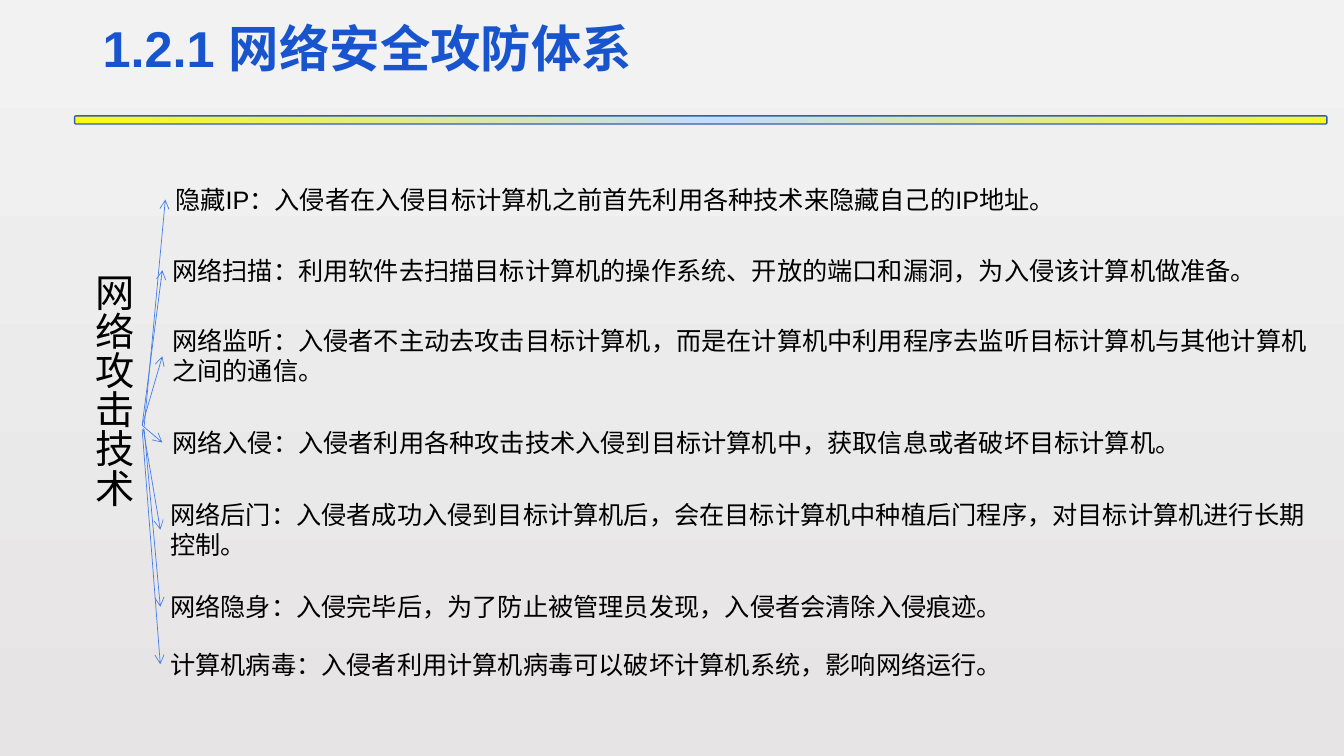
from lxml import etree
from pptx import Presentation
from pptx import util as u
from pptx.dml.color import RGBColor
from pptx.enum import shapes, text
from pptx.oxml import ns

COLORS = {
    "title": "1754CD",
    "body": "000000",
    "arrow": "477DEA",
    "bar_line": "355CAD",
}
BACKGROUND_STOPS = [(0, "F2F2F2"), (100, "E6E4E4")]
BAR_STOPS = [(0, "FBFB11"), (51, "C6DCFF"), (100, "F7F923")]

TECHNIQUES = [
    ("隐藏IP：入侵者在入侵目标计算机之前首先利用各种技术来隐藏自己的IP地址。",
     (1.64, 1.78, 10.01, 0.4), (1.43, 4.23)),
    ("网络扫描：利用软件去扫描目标计算机的操作系统、开放的端口和漏洞，为入侵该计算机做准备。",
     (1.61, 2.48, 11, 0.4), (1.41, 4.22)),
    ("网络监听：入侵者不主动去攻击目标计算机，而是在计算机中利用程序去监听目标计算机与其他计算机之间的通信。",
     (1.61, 3.18, 11.57, 0.71), (1.41, 4.22)),
    ("网络入侵：入侵者利用各种攻击技术入侵到目标计算机中，获取信息或者破坏目标计算机。",
     (1.61, 4.19, 10.6, 0.4), (1.41, 4.22)),
    ("网络后门：入侵者成功入侵到目标计算机后，会在目标计算机中种植后门程序，对目标计算机进行长期控制。",
     (1.59, 4.9, 11.57, 0.71), (1.42, 4.25)),
    ("网络隐身：入侵完毕后，为了防止被管理员发现，入侵者会清除入侵痕迹。",
     (1.59, 5.82, 10.05, 0.4), (1.43, 4.26)),
    ("计算机病毒：入侵者利用计算机病毒可以破坏计算机系统，影响网络运行。",
     (1.59, 6.39, 9.72, 0.4), (1.41, 4.26)),
]


def inches(lengths):
    return [u.Inches(length) for length in lengths]


def add_xml(parent, tag, **attributes):
    return etree.SubElement(parent, ns.qn(tag), attributes)


class SlideBuilder:
    font_name = "Arial"

    def __init__(self, slide):
        self.slide = slide

    def gradient(self, fill, element, stops, angle):
        fill.gradient()
        fill.gradient_angle = angle
        stop_list = element.find(".//" + ns.qn("a:gsLst"))
        for stop in list(stop_list):
            stop_list.remove(stop)
        for position, color in stops:
            stop = add_xml(stop_list, "a:gs", pos=str(position * 1000))
            add_xml(stop, "a:srgbClr", val=color)

    def background(self, stops):
        self.gradient(self.slide.background.fill, self.slide.element, stops, 270)

    def bar(self, box, stops):
        shape = self.slide.shapes.add_shape(
            shapes.MSO_SHAPE.ROUNDED_RECTANGLE, *inches(box))
        shape.shadow.inherit = False
        self.gradient(shape.fill, shape.element.spPr, stops, 0)
        shape.line.color.rgb = RGBColor.from_string(COLORS["bar_line"])
        shape.line.width = u.Pt(1)

    def text(self, words, box, size, color="body", bold=False, parent=None):
        shape = (parent or self.slide).shapes.add_textbox(*inches(box))
        frame = shape.text_frame
        frame.word_wrap = True
        frame.text = words
        run = frame.paragraphs[0].runs[0]
        run.font.size = u.Pt(size)
        run.font.bold = bold
        run.font.color.rgb = RGBColor.from_string(COLORS[color])
        run.font.name = self.font_name
        add_xml(run.font._element, "a:ea", typeface=self.font_name)
        return frame

    def title(self, words, box):
        frame = self.text(words, box, 36, "title", bold=True)
        frame.vertical_anchor = text.MSO_ANCHOR.MIDDLE
        frame.paragraphs[0].line_spacing = 0.9

    def vertical_text(self, words, box):
        frame = self.text(words, box, 28)
        frame._txBody.bodyPr.set("vert", "eaVert")

    def arrow(self, start, end, parent):
        connector = parent.shapes.add_connector(
            shapes.MSO_CONNECTOR.STRAIGHT, *inches(start + end))
        connector.line.color.rgb = RGBColor.from_string(COLORS["arrow"])
        connector.line.width = u.Pt(0.5)
        properties = connector.element.spPr
        add_xml(properties.find(ns.qn("a:ln")), "a:tailEnd", type="arrow")
        add_xml(properties, "a:effectLst")

    def technique(self, words, box, origin):
        left, top, width, height = box
        group = self.slide.shapes.add_group_shape()
        self.text(words, box, 18, parent=group)
        self.arrow(origin, (left, top + height / 2), group)


def main():
    presentation = Presentation()
    presentation.slide_width = u.Inches(13.33)
    presentation.slide_height = u.Inches(7.5)
    builder = SlideBuilder(
        presentation.slides.add_slide(presentation.slide_layouts[6]))
    builder.background(BACKGROUND_STOPS)
    builder.bar((0.74, 1.15, 12.42, 0.08), BAR_STOPS)
    builder.title("1.2.1 网络安全攻防体系", (0.92, 0.07, 11.5, 0.87))
    builder.vertical_text("网络攻击技术", (0.74, 2.61, 0.67, 3.21))
    for words, box, origin in TECHNIQUES:
        builder.technique(words, box, origin)
    presentation.save("out.pptx")


if __name__ == "__main__":
    main()
